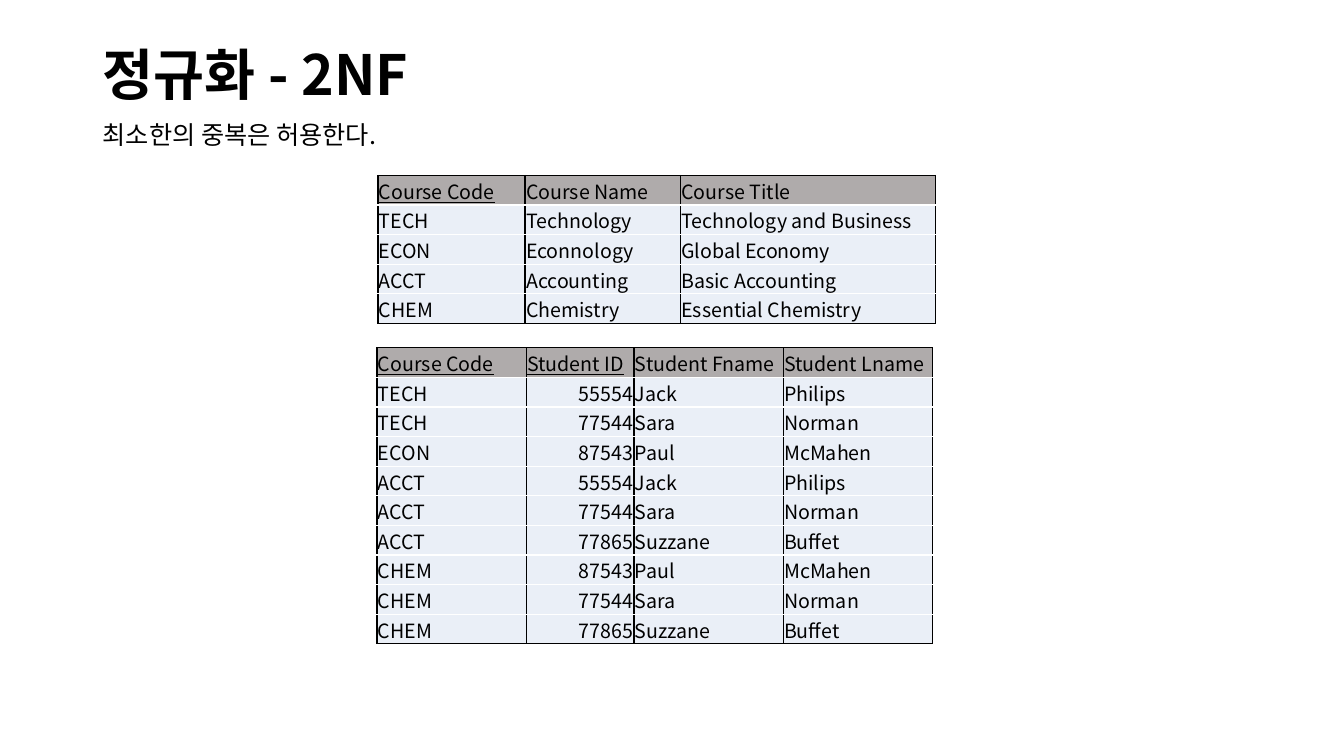
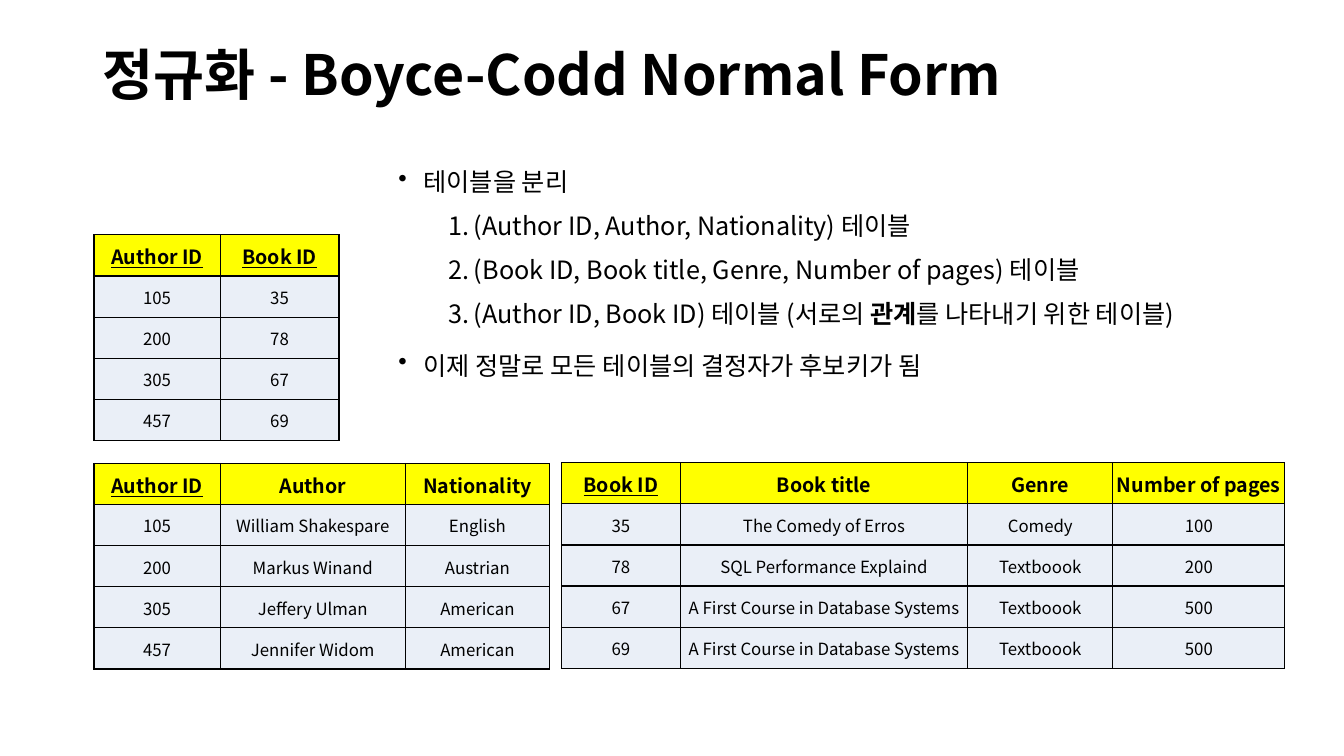
import dataclasses

import pptx
import pptx.dml.color
import pptx.enum.text
import pptx.oxml
import pptx.oxml.ns
import pptx.util


@dataclasses.dataclass(frozen=True)
class Theme:
    face: str = "Noto Sans CJK KR"
    ink: str = "000000"
    pale: str = "EAEFF7"
    white: str = "FFFFFF"
    gray: str = "AFABAB"
    gold: str = "FFFF00"
    title: float = 39.6
    body: float = 18
    head: float = 14
    cell: float = 12


theme = Theme()
hue = pptx.dml.color.RGBColor.from_string
side = pptx.enum.text.PP_ALIGN
mid = pptx.enum.text.MSO_ANCHOR.MIDDLE
space = pptx.oxml.ns.nsdecls("a")


def write(para, text, size=theme.body, bold=False, under=False, align=side.LEFT):
    para.alignment = align
    for part, words in enumerate(text.split("*")):
        run = para.add_run()
        run.text = words
        font = run.font
        font.size = pptx.util.Pt(size)
        font.bold = bold or part % 2 == 1
        font.underline = under
        font.color.rgb = hue(theme.ink)
        font.name = theme.face
        font._element.append(pptx.oxml.parse_xml(f'<a:ea {space} typeface="{theme.face}"/>'))


deck = pptx.Presentation()
deck.slide_width = pptx.util.Inches(13.33)
deck.slide_height = pptx.util.Inches(7.5)
wide = deck.slide_width / 100
high = deck.slide_height / 100
second, boyce = [deck.slides.add_slide(deck.slide_layouts[6]) for _ in range(2)]

for slide, text in [(second, "정규화 - 2NF"), (boyce, "정규화 - Boyce-Codd Normal Form")]:
    box = slide.shapes.add_textbox(int(6.9 * wide), int(5.33 * high), int(86.3 * wide), int(9.73 * high))
    box.text_frame.word_wrap = True
    box.text_frame.vertical_anchor = mid
    box.text_frame.paragraphs[0].line_spacing = 0.9
    write(box.text_frame.paragraphs[0], text, size=theme.title, bold=True)

box = second.shapes.add_textbox(int(6.9 * wide), int(15.07 * high), int(24.8 * wide), int(5.33 * high))
box.text_frame.word_wrap = True
write(box.text_frame.paragraphs[0], "최소한의 중복은 허용한다.")

box = boyce.shapes.add_textbox(int(28.9 * wide), int(20.4 * high), int(64.3 * wide), int(38.8 * high))
frame = box.text_frame
frame.word_wrap = True
points = [
    (0, "테이블을 분리"),
    (1, "(Author ID, Author, Nationality) 테이블"),
    (1, "(Book ID, Book title, Genre, Number of pages) 테이블"),
    (1, "(Author ID, Book ID) 테이블 (서로의 *관계*를 나타내기 위한 테이블)"),
    (0, "이제 정말로 모든 테이블의 결정자가 후보키가 됨"),
]
marks = ['buChar {} char="•"', 'buAutoNum {} type="arabicPeriod"']
for row, (level, text) in enumerate(points):
    para = frame.add_paragraph() if row else frame.paragraphs[0]
    para.level = level
    para.line_spacing = 1.23
    para.space_before = pptx.util.Pt((10, 5)[level] if row else 0)
    props = para._p.get_or_add_pPr()
    props.set("marL", str(pptx.util.Inches(0.25 + 0.5 * level)))
    props.set("indent", str(pptx.util.Inches(-0.25)))
    props.append(pptx.oxml.parse_xml(f"<a:{marks[level].format(space)}/>"))
    write(para, text)

plain = dict(slide=second, row=3.92, fill=theme.gray, rule=theme.white,
             size=theme.head, bold=False, align=side.LEFT)
boxed = dict(slide=boyce, row=5.44, fill=theme.gold, rule=theme.ink,
             size=theme.cell, bold=True, align=side.CENTER)
tables = [
    (plain, 28.05, 46, [11.1, 8.02, 11.1, 11.1], {"Course Code", "Student ID"}, """
Course Code|Student ID|Student Fname|Student Lname
TECH|55554|Jack|Philips
TECH|77544|Sara|Norman
ECON|87543|Paul|McMahen
ACCT|55554|Jack|Philips
ACCT|77544|Sara|Norman
ACCT|77865|Suzzane|Buffet
CHEM|87543|Paul|McMahen
CHEM|77544|Sara|Norman
CHEM|77865|Suzzane|Buffet"""),
    (plain, 28.12, 23.2, [10.95, 11.55, 18.98], {"Course Code"}, """
Course Code|Course Name|Course Title
TECH|Technology|Technology and Business
ECON|Econnology|Global Economy
ACCT|Accounting|Basic Accounting
CHEM|Chemistry|Essential Chemistry"""),
    (boxed, 7, 61.3, [9.38, 13.8, 10.7], {"Author ID"}, """
Author ID|Author|Nationality
105|William Shakespare|English
200|Markus Winand|Austrian
305|Jeffery Ulman|American
457|Jennifer Widom|American"""),
    (boxed, 41.78, 61.2, [8.85, 21.38, 10.8, 12.8], {"Book ID"}, """
Book ID|Book title|Genre|Number of pages
35|The Comedy of Erros|Comedy|100
78|SQL Performance Explaind|Textboook|200
67|A First Course in Database Systems|Textboook|500
69|A First Course in Database Systems|Textboook|500"""),
    (boxed, 7, 31.07, [9.38, 8.85], {"Author ID", "Book ID"}, """
Author ID|Book ID
105|35
200|78
305|67
457|69"""),
]
for style, left, top, cols, keys, data in tables:
    rows = [line.split("|") for line in data.strip().splitlines()]
    shape = style["slide"].shapes.add_table(
        len(rows), len(cols), int(left * wide), int(top * high),
        int(sum(cols) * wide), int(len(rows) * style["row"] * high))
    table = shape.table
    table.first_row = table.horz_banding = False
    for col, share in zip(table.columns, cols):
        col.width = int(share * wide)
    for r, line in enumerate(rows):
        table.rows[r].height = int(style["row"] * high)
        for c, text in enumerate(line):
            cell = table.cell(r, c)
            cell.vertical_anchor = mid
            cell.margin_left = cell.margin_right = cell.margin_top = pptx.util.Inches(0.01)
            cell.margin_bottom = 0
            upper = style["rule"] if r else theme.ink
            lower = style["rule"] if r < len(rows) - 1 else theme.ink
            props = cell._tc.get_or_add_tcPr()
            for edge, tint in zip("LRTB", (theme.ink, theme.ink, upper, lower)):
                props.append(pptx.oxml.parse_xml(
                    f'<a:ln{edge} {space} w="12700"><a:solidFill>'
                    f'<a:srgbClr val="{tint}"/></a:solidFill></a:ln{edge}>'))
            cell.fill.solid()
            cell.fill.fore_color.rgb = hue(theme.pale if r else style["fill"])
            number = style is plain and text.isdigit()
            write(cell.text_frame.paragraphs[0], text,
                  size=style["size"] if r else theme.head,
                  bold=style["bold"] and r == 0,
                  under=r == 0 and text in keys,
                  align=side.RIGHT if number else style["align"])

deck.save("out.pptx")
